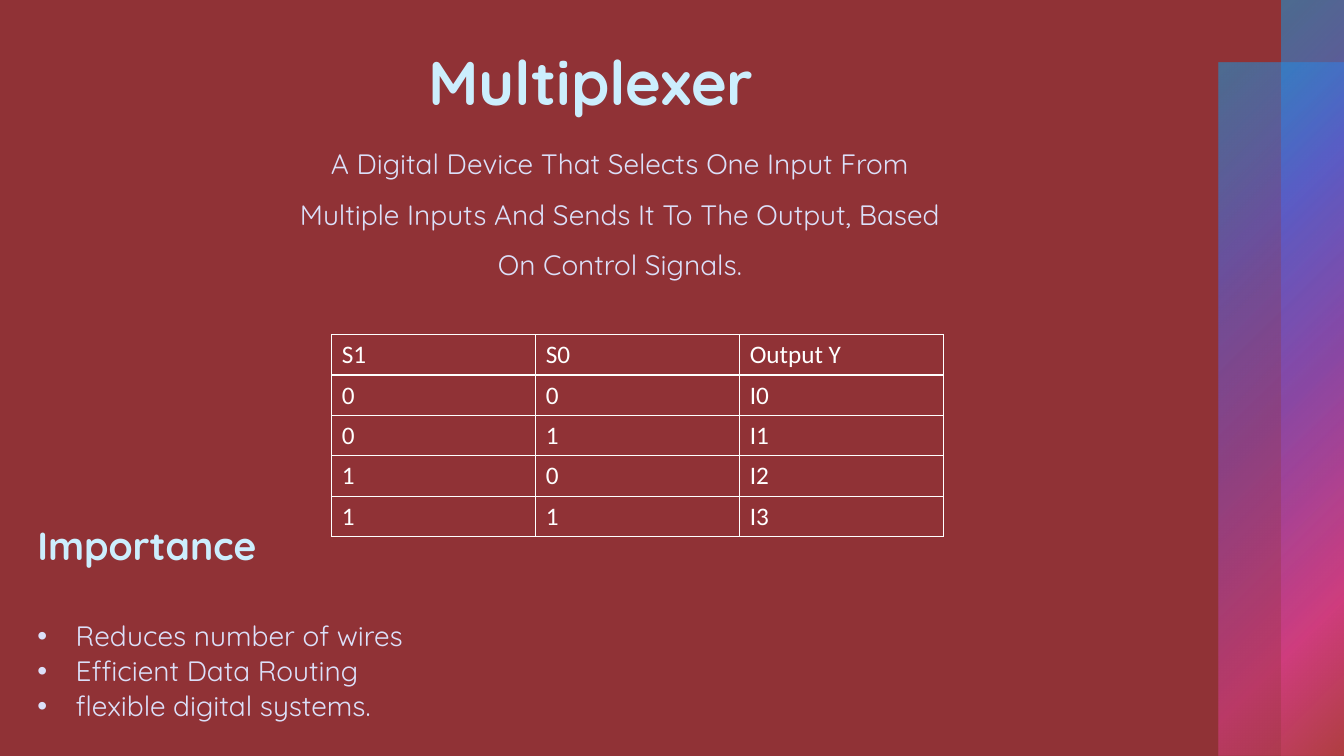
from lxml import etree
from pptx import Presentation, util as u
from pptx.dml.color import RGBColor
from pptx.enum import shapes, text
from pptx.oxml.ns import qn


def tint(code):
    return RGBColor.from_string(code)


def sub(node, tag, **attrs):
    return etree.SubElement(node, qn("a:" + tag), attrs)


class Deck:
    """Holds the style and the current slide; lengths are percent of its size."""

    back, head, body, white = "903236", "CCEEFD", "DCE0F9", "FFFFFF"
    font, plain = "Quicksand", "Calibri"
    stops = [(0, "0BA5E8", 50), (25, "5066E1", 60), (50, "894EC0", 55),
             (81, "E54196", 50), (99, "BE4449", 50)]
    style = "{2D5ABB26-0587-4C30-8999-92F81FD0307C}"

    def __init__(self):
        self.show = Presentation()
        self.show.slide_width = u.Inches(13.33)
        self.show.slide_height = u.Inches(7.5)
        self.slide = self.show.slides.add_slide(self.show.slide_layouts[6])
        fill = self.slide.background.fill
        fill.solid()
        fill.fore_color.rgb = tint(self.back)

    def place(self, x, y, w, h):
        wide, high = self.show.slide_width, self.show.slide_height
        return [int(part * full / 100) for part, full in
                ((x, wide), (y, high), (w, wide), (h, high))]

    def run(self, para, words, size, color, bold=False, font=font):
        run = para.add_run()
        run.text = words
        run.font.size = u.Pt(size)
        run.font.name = font
        run.font.bold = bold
        run.font.color.rgb = tint(color)

    def bar(self, *box):
        bar = self.slide.shapes.add_shape(shapes.MSO_SHAPE.RECTANGLE, *self.place(*box))
        bar.shadow.inherit = False
        bar.line.fill.background()
        bar.fill.gradient()
        grad = bar._element.spPr.find(qn("a:gradFill"))
        for child in list(grad):
            grad.remove(child)
        marks = sub(grad, "gsLst")
        for pos, code, alpha in self.stops:
            mark = sub(marks, "gs", pos=str(pos * 1000))
            sub(sub(mark, "srgbClr", val=code), "alpha", val=str(alpha * 1000))
        sub(sub(grad, "path", path="circle"), "fillToRect", r="100000", b="100000")

    def text(self, box, words, size, color, bold=False, align=None, space=None):
        frame = self.slide.shapes.add_textbox(*self.place(*box)).text_frame
        frame.word_wrap = True
        para = frame.paragraphs[0]
        para.alignment = align
        para.line_spacing = space
        self.run(para, words, size, color, bold)

    def table(self, box, rows, cols):
        frame = self.slide.shapes.add_table(rows, cols, *self.place(*box))
        table = frame.table
        table.first_row = table.horz_banding = False
        table._tbl.tblPr.find(qn("a:tableStyleId")).text = self.style
        for cell in table.iter_cells():
            cell.vertical_anchor = text.MSO_ANCHOR.MIDDLE
            cell.fill.background()
        return table

    def edge(self, cell):
        props = cell._tc.get_or_add_tcPr()
        for spot, side in enumerate(("lnL", "lnR", "lnT", "lnB")):
            line = etree.Element(qn("a:" + side), w=str(u.Pt(1)))
            sub(sub(line, "solidFill"), "srgbClr", val=self.white)
            props.insert(spot, line)

    def grid(self, box, data):
        table = self.table(box, len(data), len(data[0]))
        for cell, words in zip(table.iter_cells(), sum(data, [])):
            self.edge(cell)
            self.run(cell.text_frame.paragraphs[0], words, 18, self.white, font=self.plain)

    def points(self, box, title, items):
        frame = self.table(box, 1, 1).cell(0, 0).text_frame
        self.run(frame.paragraphs[0], title, 28, self.head, True)
        for item in items:
            para = frame.add_paragraph()
            if item == items[0]:
                para.space_before = u.Pt(34)
            props = para._p.get_or_add_pPr()
            props.set("marL", str(u.Inches(0.38)))
            props.set("indent", str(u.Inches(-0.38)))
            sub(props, "buFont", typeface="Arial")
            sub(props, "buChar", char="•")
            self.run(para, item, 20, self.body)


def main():
    deck = Deck()
    deck.bar(90.7, 8.27, 9.3, 91.73)
    deck.bar(95.35, 0, 4.65, 100)
    deck.text((31.13, 5.2, 39.08, 22.53), "Multiplexer", 44, deck.head, True)
    deck.text((19.95, 16.53, 52.36, 20.67),
              "A Digital Device That Selects One Input From Multiple Inputs "
              "And Sends It To The Output, Based On Control Signals.",
              20, deck.body, align=text.PP_ALIGN.CENTER, space=1.5)
    pairs = [[str(n // 2), str(n % 2), f"I{n}"] for n in range(4)]
    deck.grid((24.68, 44.27, 45.54, 26.67), [["S1", "S0", "Output Y"]] + pairs)
    deck.points((2.03, 60, 33.38, 44.67), "Importance",
                ["Reduces number of wires", "Efficient Data Routing",
                 "flexible digital systems."])
    deck.show.save("out.pptx")


if __name__ == "__main__":
    main()
